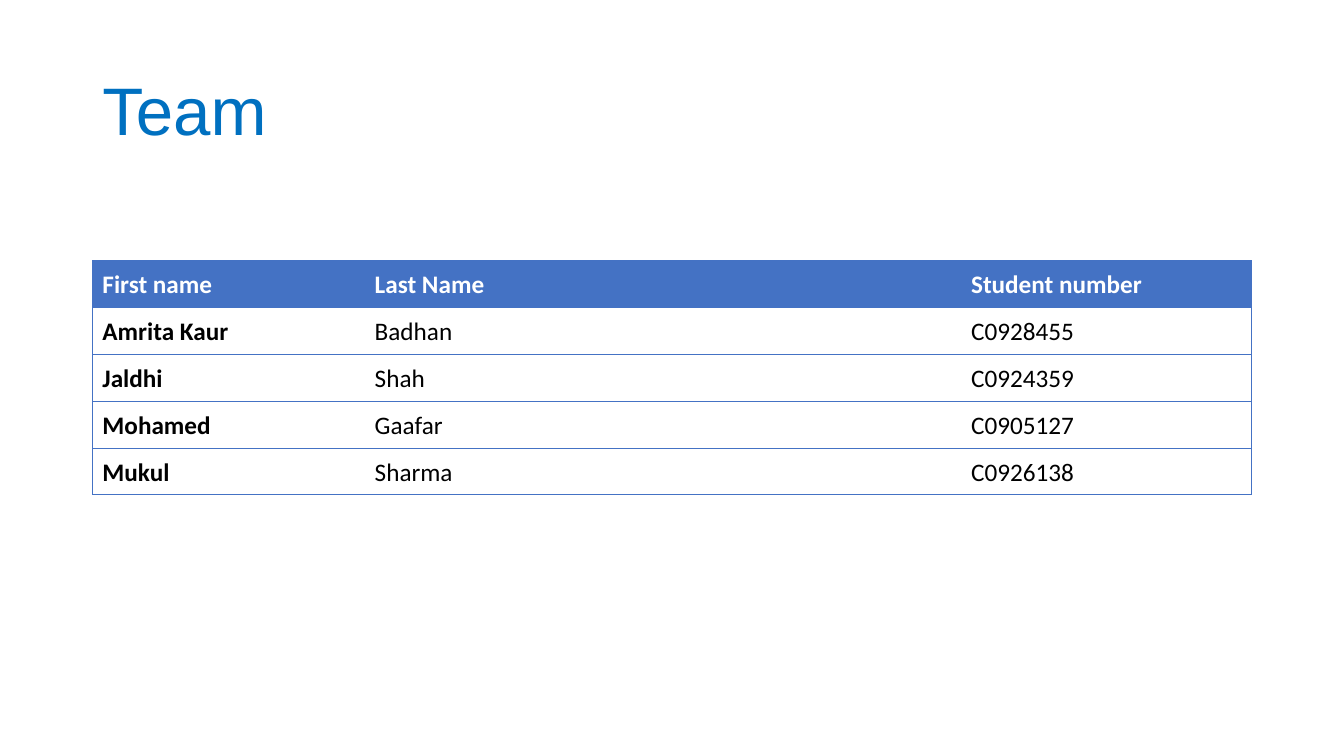
from lxml import etree
from pptx import Presentation
from pptx.dml.color import RGBColor
from pptx.enum.text import MSO_ANCHOR, PP_ALIGN
from pptx.oxml.ns import qn
from pptx.util import Pt

PX = 6350
BLUE = RGBColor(0x00, 0x70, 0xC0)
HEAD = RGBColor(0x44, 0x72, 0xC4)
WHITE = RGBColor(0xFF, 0xFF, 0xFF)
BLACK = RGBColor(0x00, 0x00, 0x00)
MIDDLE = MSO_ANCHOR.MIDDLE
LEFT = PP_ALIGN.LEFT
JUSTIFY = PP_ALIGN.JUSTIFY


def write(frame, text, *, font, size, color, bold=False, align=LEFT, space=1.0):
    para = frame.paragraphs[0]
    para.alignment = align
    para.line_spacing = space
    run = para.add_run()
    run.text = text
    run.font.name = font
    run.font.size = Pt(size)
    run.font.bold = bold
    run.font.color.rgb = color


def border(cell, side, color):
    line = etree.SubElement(cell._tc.get_or_add_tcPr(), qn("a:" + side), w=str(Pt(0.5)))
    if color is None:
        etree.SubElement(line, qn("a:noFill"))
    else:
        fill = etree.SubElement(line, qn("a:solidFill"))
        etree.SubElement(fill, qn("a:srgbClr"), val=str(color))


deck = Presentation()
deck.slide_width = 1920 * PX
deck.slide_height = 1080 * PX
slide = deck.slides.add_slide(deck.slide_layouts[6])

title = slide.shapes.add_textbox(132 * PX, 58 * PX, 1656 * PX, 209 * PX).text_frame
title.word_wrap = True
title.vertical_anchor = MIDDLE
write(title, "Team", font="Arial", size=48, color=BLUE, space=0.9)

team = [
    ("First name", "Last Name", "Student number"),
    ("Amrita Kaur", "Badhan", "C0928455"),
    ("Jaldhi", "Shah", "C0924359"),
    ("Mohamed", "Gaafar", "C0905127"),
    ("Mukul", "Sharma", "C0926138"),
]
widths = [389, 852, 415]
tall = 67

table = slide.shapes.add_table(
    len(team), len(widths), 132 * PX, 372 * PX, sum(widths) * PX, len(team) * tall * PX
).table
table.first_row = False
table.horz_banding = False
for col, width in zip(table.columns, widths):
    col.width = width * PX

for r, names in enumerate(team):
    table.rows[r].height = tall * PX
    for c, name in enumerate(names):
        cell = table.cell(r, c)
        cell.vertical_anchor = MIDDLE
        cell.margin_top = cell.margin_bottom = 0
        border(cell, "lnL", HEAD if c == 0 else None)
        border(cell, "lnR", HEAD if c == len(widths) - 1 else None)
        border(cell, "lnT", HEAD)
        border(cell, "lnB", HEAD)
        if r == 0:
            cell.fill.solid()
            cell.fill.fore_color.rgb = HEAD
        else:
            cell.fill.background()
        write(
            cell.text_frame, name, font="Calibri", size=18,
            color=WHITE if r == 0 else BLACK, bold=r == 0 or c == 0,
            align=JUSTIFY, space=1.07,
        )

deck.save("out.pptx")
